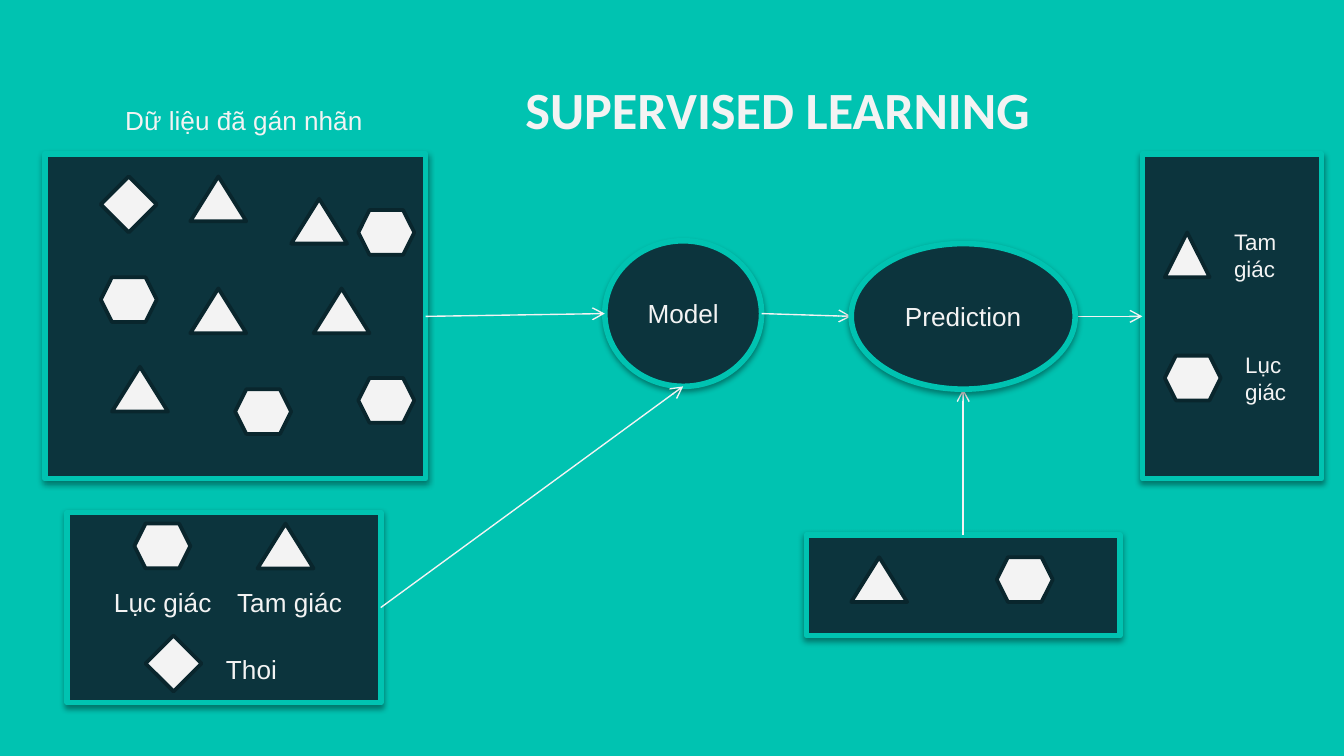
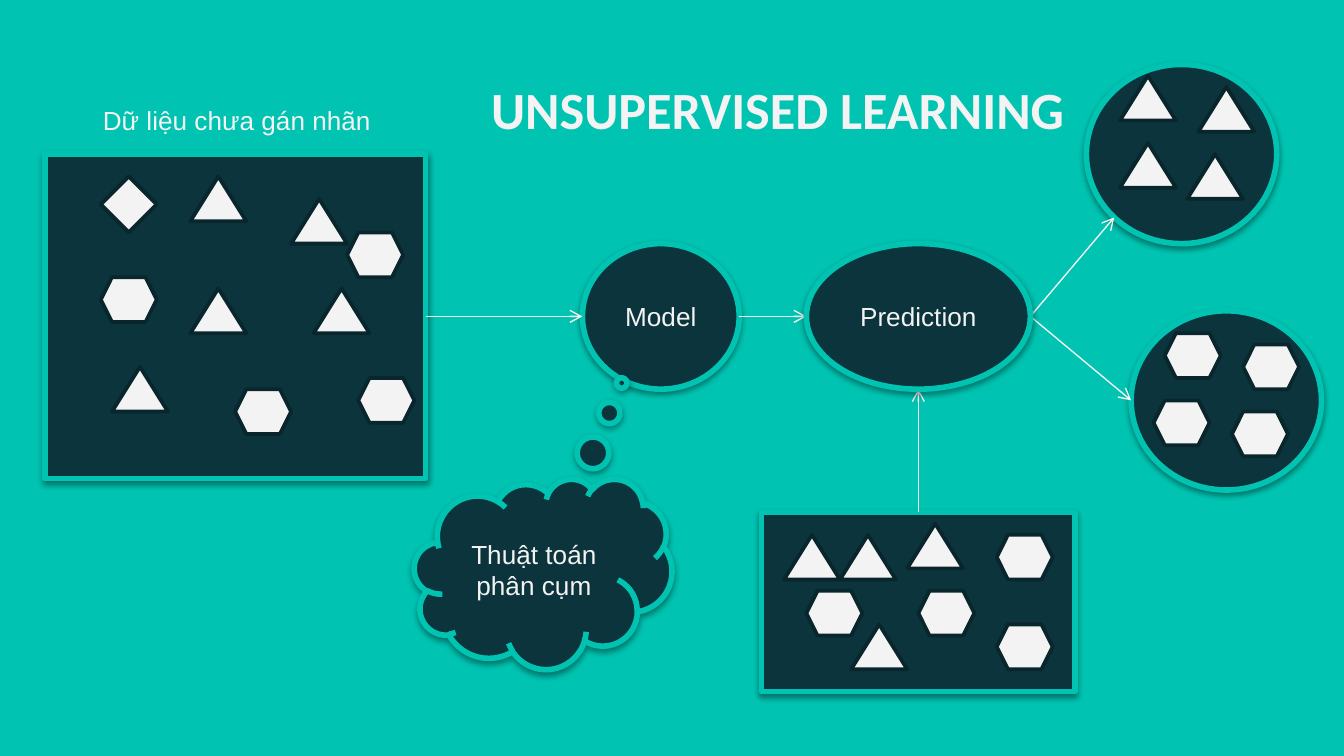
from lxml import etree
from pptx import Presentation
from pptx.dml.color import RGBColor
from pptx.enum.shapes import MSO_CONNECTOR as Link, MSO_SHAPE as Form
from pptx.enum.text import MSO_ANCHOR as Anchor, MSO_AUTO_SIZE as Fit, PP_ALIGN as Align
from pptx.oxml import parse_xml
from pptx.oxml.ns import nsdecls, qn
from pptx.util import Cm, Pt

TEAL, NAVY, EDGE, PALE = "00C3B1", "0C343D", "09262D", "F3F3F3"

# All places are in grid units: 12 to the inch, rows shifted down a little
UNIT, SHIFT = 2.54 / 12, 0.16

# Content shared by both slides
DATA = (Form.RECTANGLE, 4, 13, 34, 29, "")
TRIS = [(17, 15), (17, 25), (26, 17), (28, 25), (10, 32)]
HEXES = [(9, 24), (21, 34), (32, 33)]
GEMS = [(9, 15)]
FLOW = [("data", "right", "model", "left"), ("model", "right", "guess", "left"),
        ("input", "top", "guess", "bottom")]

# panels and top: name -> form, col, row, width, height, text
# tokens: col, row and, if not the usual, width
# labels: text, col, row, width, size
SLIDES = [
    {
        "title": "SUPERVISED LEARNING",
        "panels": {
            "data": DATA,
            "key": (Form.RECTANGLE, 6, 45, 28, 17, ""),
            "model": (Form.OVAL, 54, 20.75, 14, 13, "Model"),
            "input": (Form.RECTANGLE, 72, 47, 28, 9, ""),
            "result": (Form.RECTANGLE, 102, 13, 16, 29, ""),
        },
        "top": {"guess": (Form.OVAL, 76, 21, 20, 13, "Prediction")},
        "arrows": FLOW + [("key", "right", "model", "bottom"),
                          ("guess", "right", "result", "left")],
        "tris": TRIS + [(23, 46), (76, 49), (104, 20, 4)],
        "hexes": HEXES + [(32, 18), (12, 46), (89, 49), (104, 31)],
        "gems": GEMS + [(13, 56)],
        "labels": [
            ("Dữ liệu đã gán nhãn", 10, 8, 25, 14),
            ("Lục giác", 9, 51, 13, 14),
            ("Tam giác", 20, 51, 13, 14),
            ("Thoi", 19, 57, 13, 14),
            ("Tam\ngiác", 109, 19, 8, 12),
            ("Lục\ngiác", 110, 30, 7, 12),
        ],
    },
    {
        "title": "UNSUPERVISED LEARNING",
        "panels": {
            "data": DATA,
            "model": (Form.OVAL, 52, 21, 14, 13, "Model"),
            "input": (Form.RECTANGLE, 68, 45, 28, 16, ""),
            "first": (Form.OVAL, 97, 5, 17, 16, ""),
            "second": (Form.OVAL, 101, 27, 17, 16, ""),
        },
        "top": {
            "guess": (Form.OVAL, 72, 21, 20, 13, "Prediction"),
            "method": (Form.CLOUD_CALLOUT, 37, 42, 23, 17, "Thuật toán phân cụm"),
        },
        "arrows": FLOW + [("guess", "right", "first", "corner"),
                          ("guess", "right", "second", "left")],
        "tris": TRIS + [(75, 47), (81, 46), (70, 47), (76, 55),
                        (100, 6), (107, 7), (100, 12), (106, 13)],
        "hexes": HEXES + [(31, 20), (89, 47), (82, 52), (89, 55), (72, 52),
                          (104, 29), (111, 30), (103, 35), (110, 36)],
        "gems": GEMS,
        "labels": [("Dữ liệu chưa gán nhãn", 8, 8, 27, 14)],
    },
]

# Arrow ends as shares of a panel's width and height
SIDES = {"left": (0, 0.5), "right": (1, 0.5), "top": (0.5, 0),
         "bottom": (0.5, 1), "corner": (0.146, 0.854)}
TAIL = (0.305, -1.003)


def paint(hue):
    return RGBColor.from_string(hue)


def spot(col, row):
    return Cm(col * UNIT), Cm(row * UNIT + SHIFT)


def area(col, row, wide, high):
    return *spot(col, row), Cm(wide * UNIT), Cm(high * UNIT)


def write(shape, text, size, font="Arial", bold=False, align=Align.LEFT):
    frame = shape.text_frame
    frame.word_wrap = True
    frame.text = text
    for para in frame.paragraphs:
        para.alignment = align
        for run in para.runs:
            run.font.name, run.font.size, run.font.bold = font, Pt(size), bold
            run.font.color.rgb = paint(PALE)


def draw(slide, form, box, fill, edge, width):
    shape = slide.shapes.add_shape(form, *area(*box))
    shape.shadow.inherit = False
    shape.fill.solid()
    shape.fill.fore_color.rgb = paint(fill)
    shape.line.color.rgb = paint(edge)
    shape.line.width = Pt(width)
    return shape


def panel(slide, form, col, row, wide, high, text):
    shape = draw(slide, form, (col, row, wide, high), NAVY, TEAL, 3)
    glow = shape._element.spPr.find(qn("a:effectLst"))
    glow.append(parse_xml(
        f'<a:outerShdw {nsdecls("a")} blurRad="40000" dist="20000" dir="5400000" '
        'rotWithShape="0"><a:srgbClr val="000000"><a:alpha val="38000"/>'
        '</a:srgbClr></a:outerShdw>'))
    if form == Form.CLOUD_CALLOUT:
        shape.adjustments[0], shape.adjustments[1] = TAIL
    if text:
        write(shape, text, 14, align=Align.CENTER)
        shape.text_frame.vertical_anchor = Anchor.MIDDLE


def end(box, side):
    col, row, wide, high = box[1:5]
    across, down = SIDES[side]
    return spot(col + across * wide, row + down * high)


def arrow(slide, start, stop):
    line = slide.shapes.add_connector(Link.STRAIGHT, *start, *stop)
    line.line.color.rgb = paint(PALE)
    line.line.width = Pt(0.75)
    etree.SubElement(line.line._get_or_add_ln(), qn("a:tailEnd"), type="arrow")
    etree.SubElement(line._element.spPr, qn("a:effectLst"))


def token(slide, form, col, row, wide=5):
    high = 5 if form == Form.DIAMOND else 4
    draw(slide, form, (col, row, wide, high), PALE, EDGE, 2)


def title(slide, text):
    box = slide.shapes.add_textbox(Cm(3.99), Cm(1.22), Cm(21.41), Cm(1.6))
    write(box, text, 28, "Calibri", True, Align.CENTER)
    frame = box.text_frame
    frame.margin_left = frame.margin_right = Cm(0.25)
    frame.margin_top = frame.margin_bottom = Cm(0.25)


def label(slide, text, col, row, wide, size):
    high = 4 if "\n" not in text else 6
    box = slide.shapes.add_textbox(*area(col, row, wide, high))
    write(box, text, size)
    box.text_frame.auto_size = Fit.SHAPE_TO_FIT_TEXT


def build(deck, data):
    slide = deck.slides.add_slide(deck.slide_layouts[6])
    slide.background.fill.solid()
    slide.background.fill.fore_color.rgb = paint(TEAL)
    title(slide, data["title"])

    # Panels, the arrows between them, then the panels that cover arrows
    boxes = data["panels"] | data["top"]
    for box in data["panels"].values():
        panel(slide, *box)
    for start, out, stop, into in data["arrows"]:
        arrow(slide, end(boxes[start], out), end(boxes[stop], into))
    for box in data["top"].values():
        panel(slide, *box)

    # Tokens and their labels
    for kind, form in (("gems", Form.DIAMOND), ("tris", Form.ISOSCELES_TRIANGLE),
                       ("hexes", Form.HEXAGON)):
        for place in data[kind]:
            token(slide, form, *place)
    for item in data["labels"]:
        label(slide, *item)


def main():
    deck = Presentation()
    deck.slide_width, deck.slide_height = Cm(25.4), Cm(14.29)
    for data in SLIDES:
        build(deck, data)
    deck.save("out.pptx")


if __name__ == "__main__":
    main()
